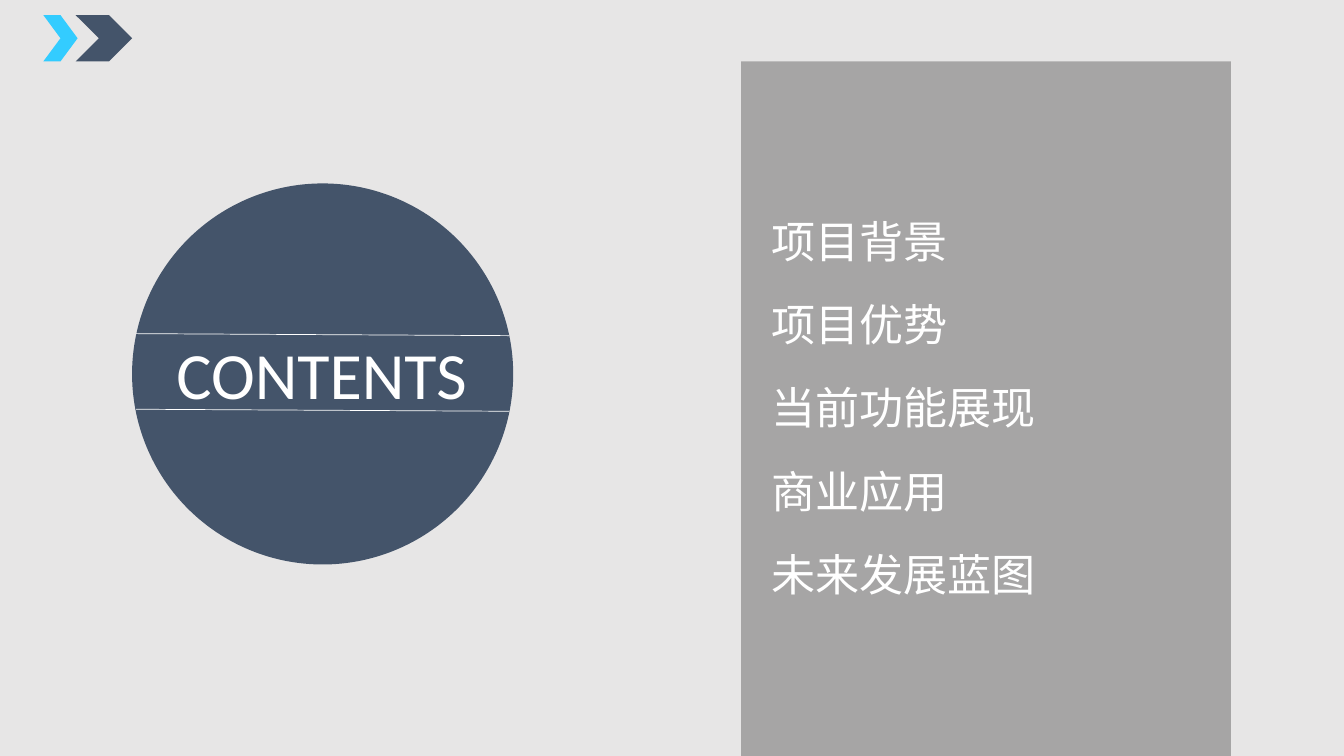
from lxml import etree
from pptx import Presentation
from pptx.dml.color import RGBColor
from pptx.enum import shapes, text
from pptx.oxml.ns import qn
from pptx.util import Inches, Pt

BACKGROUND = RGBColor(0xE7, 0xE6, 0xE6)
NAVY = RGBColor(0x44, 0x54, 0x6A)
CYAN = RGBColor(0x33, 0xCC, 0xFF)
BLACK = RGBColor(0, 0, 0)
WHITE = RGBColor(0xFF, 0xFF, 0xFF)

TOPICS = ["项目背景", "项目优势", "当前功能展现", "商业应用", "未来发展蓝图"]


def add_block(slide, preset, box, color):
    block = slide.shapes.add_shape(preset, *map(Inches, box))
    block.shadow.inherit = False
    block.fill.solid()
    block.fill.fore_color.rgb = color
    block.line.fill.background()
    return block


def write_line(holder, wording, size):
    frame = holder.text_frame
    frame.text = wording
    frame_format = {
        "word_wrap": True,
        "auto_size": text.MSO_AUTO_SIZE.NONE,
        "vertical_anchor": text.MSO_ANCHOR.TOP,
    }
    for name, value in frame_format.items():
        setattr(frame, name, value)
    paragraph = frame.paragraphs[0]
    paragraph.alignment = text.PP_ALIGN.LEFT
    for name, value in {"name": "Calibri", "size": Pt(size)}.items():
        setattr(paragraph.font, name, value)
    paragraph.font.color.rgb = WHITE


def add_rule(slide, start, end):
    rule = slide.shapes.add_connector(
        shapes.MSO_CONNECTOR.STRAIGHT, *map(Inches, (*start, *end)))
    rule.line.color.rgb = WHITE
    rule.line.width = Pt(0.5)
    etree.SubElement(rule._element.spPr, qn("a:effectLst"))


def add_corner_chevrons(slide, left, top, height):
    for offset, width, color in [(0, 0.34, CYAN), (0.32, 0.56, NAVY)]:
        add_block(slide, shapes.MSO_SHAPE.CHEVRON,
                  (left + offset, top, width, height), color)


def add_title_disc(slide, left, top, diameter):
    add_block(slide, shapes.MSO_SHAPE.OVAL, (left, top, diameter, diameter), NAVY)

    title = slide.shapes.title
    title_box = {"left": left + 0.34, "top": top + 1.44, "width": 3.38, "height": 0.9}
    for name, value in title_box.items():
        setattr(title, name, Inches(value))
    title.fill.solid()
    title.fill.fore_color.rgb = NAVY
    write_line(title, "CONTENTS", 47.2)
    # The layout's title sits at the back; bring it in front of the disc.
    slide.shapes._spTree.append(title._element)

    for offset in (1.49, 2.24):
        add_rule(slide, (left + 0.04, top + offset),
                 (left + diameter - 0.04, top + offset + 0.02))


def add_topic_panel(slide, left, top, width, height):
    panel = add_block(slide, shapes.MSO_SHAPE.RECTANGLE,
                      (left, top, width, height), BLACK)
    color = panel.fill._xPr.find(".//" + qn("a:srgbClr"))
    etree.SubElement(color, qn("a:alpha"), val="28000")

    pitch = 0.825
    for row, topic in enumerate(TOPICS):
        box = (left + 0.2, top + 1.47 + row * pitch, width - 0.37, 0.63)
        write_line(slide.shapes.add_textbox(*map(Inches, box)), topic, 31.5)


def main():
    deck = Presentation()
    deck.slide_width, deck.slide_height = Inches(13.33), Inches(7.5)
    slide = deck.slides.add_slide(deck.slide_layouts[5])
    slide.background.fill.solid()
    slide.background.fill.fore_color.rgb = BACKGROUND

    add_title_disc(slide, 1.31, 1.82, 3.78)
    add_topic_panel(slide, 7.35, 0.61, 4.86, 7.5)
    add_corner_chevrons(slide, 0.43, 0.15, 0.46)
    deck.save("out.pptx")


if __name__ == "__main__":
    main()
